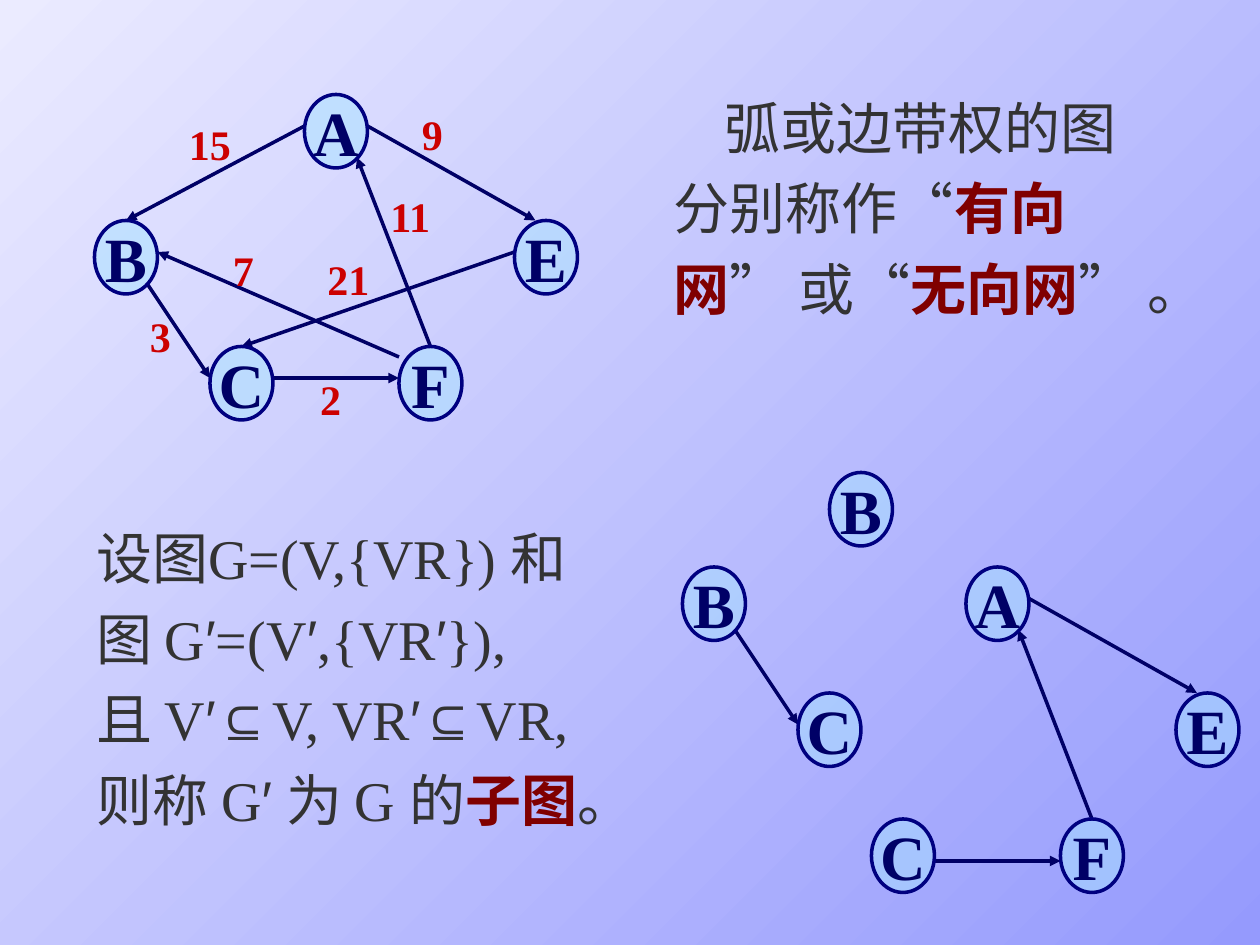
from itertools import groupby

from lxml import etree
from pptx import Presentation
from pptx.dml.color import RGBColor
from pptx.enum.shapes import MSO_CONNECTOR, MSO_SHAPE
from pptx.enum.text import MSO_ANCHOR, MSO_AUTO_SIZE, PP_ALIGN
from pptx.oxml.ns import qn
from pptx.util import Inches, Pt

ELLIPSE = MSO_SHAPE.OVAL
STRAIGHT = MSO_CONNECTOR.STRAIGHT
MIDDLE = MSO_ANCHOR.MIDDLE
GROW = MSO_AUTO_SIZE.SHAPE_TO_FIT_TEXT
CENTER = PP_ALIGN.CENTER

COLUMNS, ROWS = 120, 90
UNIT = Inches(10) / COLUMNS
NODE_SIZE = (6, 7)
TOP_SITE = 0
SYMBOLS = "′⊆"

SERIF, SANS = "Times New Roman", "Arial"
NAVY, OUTLINE, SKY = "000066", "000080", "A7E2FF"
BODY = {"size": Pt(32), "name": SERIF, "bold": False, "color": "333333"}
TERM = {**BODY, "bold": True, "color": "800000"}
NODE = {"size": Pt(36), "name": SERIF, "bold": True, "color": NAVY}
WEIGHT = {"size": Pt(24), "name": SERIF, "bold": True, "color": "CC0000"}

NODES = {"A": (20, 0), "B": (0, 12), "E": (40, 12), "C": (11, 24), "F": (29, 24)}
ARCS = {
    "AB": ((20, 3), (3, 12)),
    "BC": ((5, 18), (11, 27)),
    "CF": ((17, 27), (29, 27)),
    "FA": ((32, 24), (25, 6)),
    "AE": ((26, 3), (42, 12)),
    "FB": ((29, 25), (6, 15)),
    "EC": ((40, 15), (14, 24)),
}
WEIGHTS = {
    "15": (7.8, 1.7),
    "9": (30, 0.7),
    "7": (12, 13.7),
    "21": (21, 14.6),
    "11": (27, 8.6),
    "3": (4.1, 20),
    "2": (20.3, 26),
}
NETWORK_TEXT = [
    [
        ("弧或边带权的图分别称作“", BODY),
        ("有向网", TERM),
        ("” 或“", BODY),
        ("无向网", TERM),
        ("” 。", BODY),
    ]
]
SUBGRAPH_TEXT = [
    [("设图G=(V,{VR}) 和图 G′=(V′,{VR′}),", BODY)],
    [("且 V′⊆V, VR′⊆VR,", BODY)],
    [("则称 G′ 为 G 的", BODY), ("子图", TERM), ("。", BODY)],
]


def rgb(value):
    """Turn a hex string into a colour."""
    return RGBColor.from_string(value)


def grid(*cells):
    """Turn grid cells into lengths."""
    return [round(cell * UNIT) for cell in cells]


def add_span(para, text, style):
    """Add a run formatted from a dict of font values."""
    span = para.add_run()
    span.text = text
    for key, value in style.items():
        if key == "color":
            span.font.color.rgb = rgb(value)
        else:
            setattr(span.font, key, value)


def add_text(page, box, paragraphs, indent=0):
    """Place a paragraph text box, setting symbols in the sans font."""
    frame = page.shapes.add_textbox(*grid(*box)).text_frame
    frame.word_wrap = True
    frame.auto_size = GROW
    for index, spans in enumerate(paragraphs):
        para = frame.add_paragraph() if index else frame.paragraphs[0]
        para.line_spacing = 1.2
        if indent:
            para._p.get_or_add_pPr().set("indent", str(Inches(indent)))
        for text, style in spans:
            for symbol, letters in groupby(text, lambda letter: letter in SYMBOLS):
                font = {**style, "name": SANS if symbol else SERIF}
                add_span(para, "".join(letters), font)


def add_node(shapes, origin, name):
    """Place a half-transparent lettered ellipse."""
    left, top = (start + step for start, step in zip(origin, NODES[name]))
    node = shapes.add_shape(ELLIPSE, *grid(left, top, *NODE_SIZE))
    node.shadow.inherit = False
    node.fill.solid()
    node.fill.fore_color.rgb = rgb(SKY)
    color = node.fill._xPr.find(".//" + qn("a:srgbClr"))
    etree.SubElement(color, qn("a:alpha"), val="50000")
    node.line.color.rgb = rgb(OUTLINE)
    node.line.width = Pt(2)
    frame = node.text_frame
    frame.word_wrap = False
    frame.vertical_anchor = MIDDLE
    para = frame.paragraphs[0]
    para.alignment = CENTER
    add_span(para, name, NODE)
    return node


def add_arc(shapes, origin, name, drop=0):
    """Place an arrow between two nodes."""
    ends = [
        (origin[0] + column, origin[1] + row + drop) for column, row in ARCS[name]
    ]
    arc = shapes.add_connector(STRAIGHT, *grid(*ends[0], *ends[1]))
    arc.line.color.rgb = rgb(NAVY)
    arc.line.width = Pt(2)
    etree.SubElement(arc.line._get_or_add_ln(), qn("a:tailEnd"), type="triangle")
    etree.SubElement(arc._element.spPr, qn("a:effectLst"))
    return arc


def add_graph(page, origin, node_names, arc_names=(), drops=None):
    """Place a group of arcs and nodes, joining arcs at node tops."""
    shapes = page.shapes.add_group_shape().shapes if arc_names else page.shapes
    drops = drops or {}
    arcs = {
        name: add_arc(shapes, origin, name, drops.get(name, 0)) for name in arc_names
    }
    nodes = {name: add_node(shapes, origin, name) for name in node_names}
    for name, arc in arcs.items():
        joins = (arc.begin_connect, arc.end_connect)
        for node_name, point, join in zip(name, ARCS[name], joins):
            left, top = NODES[node_name]
            if point == (left + NODE_SIZE[0] / 2, top):
                join(nodes[node_name], TOP_SITE)


def add_weights(page, origin):
    """Place the arc weights of the full graph."""
    for text, (column, row) in WEIGHTS.items():
        width = 2.2 + 2.1 * len(text)
        cells = grid(origin[0] + column, origin[1] + row, width, 6)
        frame = page.shapes.add_textbox(*cells).text_frame
        frame.word_wrap = False
        frame.auto_size = GROW
        add_span(frame.paragraphs[0], text, WEIGHT)


def paint_background(page):
    """Fill the page with a diagonal gradient."""
    fill = page.background.fill
    fill.gradient()
    fill.gradient_angle = 135
    for stop, color in zip(fill.gradient_stops, ("959AFD", "EBEBFF")):
        stop.color.rgb = rgb(color)


def main():
    """Build the deck."""
    deck = Presentation()
    deck.slide_width, deck.slide_height = grid(COLUMNS, ROWS)
    page = deck.slides.add_slide(deck.slide_layouts[6])
    paint_background(page)
    add_graph(page, (9, 9), NODES, ARCS)
    add_graph(page, (79, 33), "B")
    add_graph(page, (65, 42), "BC", ["BC"])
    add_text(page, (8, 48, 52, 39.6), SUBGRAPH_TEXT)
    add_weights(page, (9, 9))
    add_text(page, (63, 7, 48, 33.8), NETWORK_TEXT, indent=0.4)
    add_graph(page, (72, 54), "AEFC", ["CF", "FA", "AE"], {"CF": 1})
    deck.save("out.pptx")


if __name__ == "__main__":
    main()
